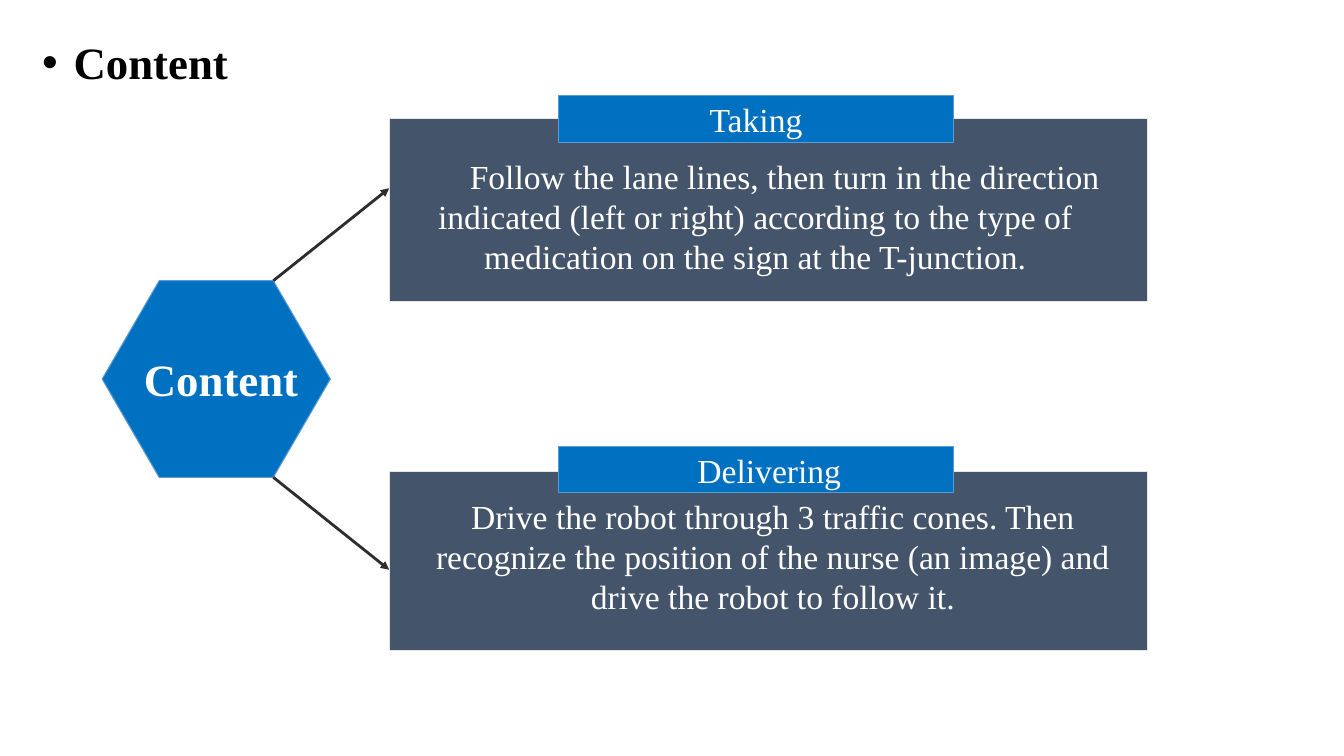
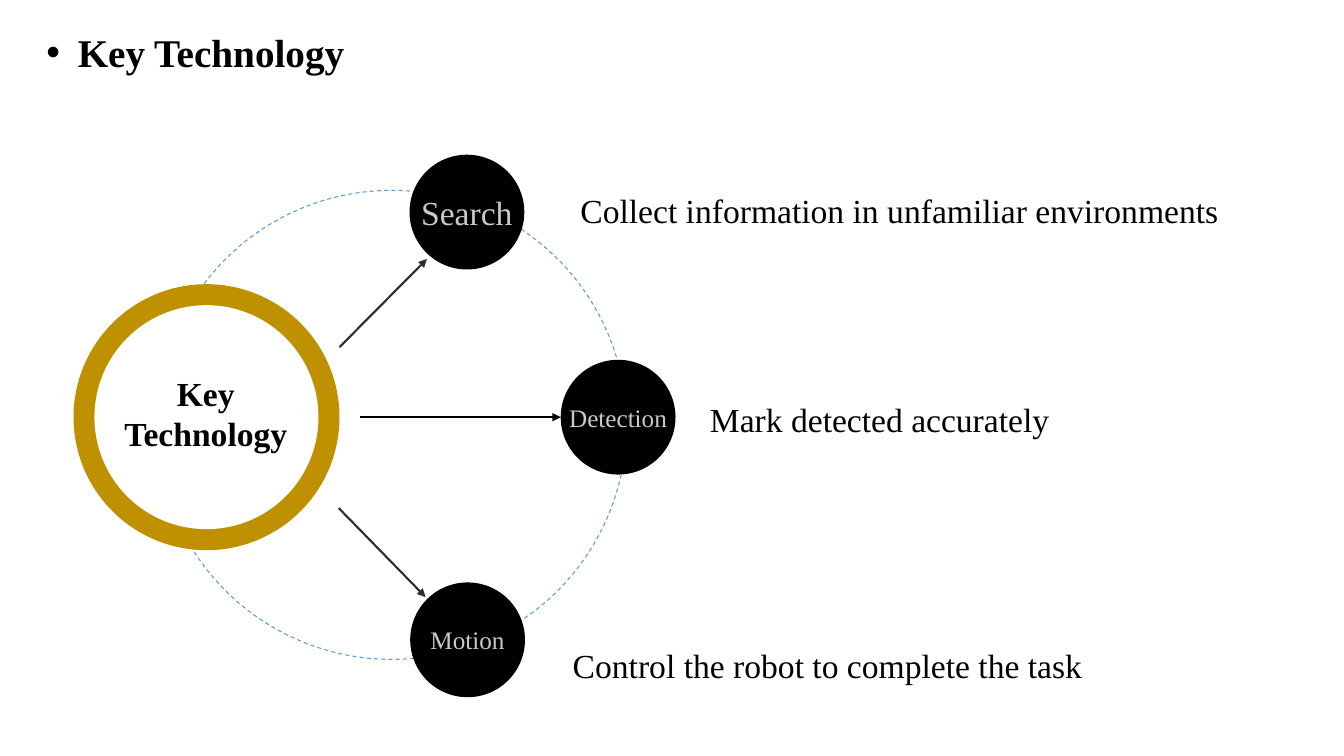
import pptx
import pptx.dml.color
import pptx.enum.dml
import pptx.enum.shapes
import pptx.enum.text
import pptx.oxml
import pptx.oxml.ns
import pptx.util

Pt = pptx.util.Pt
RGB = pptx.dml.color.RGBColor
SHAPE = pptx.enum.shapes.MSO_SHAPE
ALIGN = pptx.enum.text.PP_ALIGN
ANCHOR = pptx.enum.text.MSO_ANCHOR

BLACK = RGB(0x00, 0x00, 0x00)
WHITE = RGB(0xFF, 0xFF, 0xFF)
BLUE = RGB(0x00, 0x70, 0xC0)
SKY = RGB(0x5B, 0x9B, 0xD5)
SLATE = RGB(0x44, 0x54, 0x6A)
PALE = RGB(0xE7, 0xE6, 0xE6)
SILVER = RGB(0xC9, 0xC9, 0xC9)
INK = RGB(0x2E, 0x2C, 0x2C)
GOLD = RGB(0xBF, 0x90, 0x00)

FONT = "Times New Roman"
HEADING = {"size": Pt(32), "bold": True}
BODY = {"size": Pt(24)}
SMALL = {"size": Pt(18)}

NODE_SIZE = 82
TAG_WIDTH, TAG_HEIGHT = 282, 33


def set_values(target, values):
    for name, value in values.items():
        setattr(target, name, value)


def write(frame, text, style, color, align):
    para = frame.paragraphs[0]
    para.alignment = align
    span = para.add_run()
    span.text = text
    set_values(span.font, {"name": FONT, **style})
    span.font.color.rgb = color
    return para


def add_shape(page, kind, box, fill=None, line=None, line_width=0):
    shape = page.shapes.add_shape(kind, *map(Pt, box))
    shape.shadow.inherit = False
    if fill is None:
        shape.fill.background()
    else:
        shape.fill.solid()
        shape.fill.fore_color.rgb = fill
    if line is None:
        shape.line.fill.background()
    else:
        shape.line.color.rgb = line
        shape.line.width = Pt(line_width)
    return shape


def add_label(shape, text, style, color, shift=0):
    """Centre one line of text in a shape, moved right by shift points."""
    set_values(shape.text_frame, {
        "word_wrap": False, "vertical_anchor": ANCHOR.MIDDLE,
        "margin_left": Pt(2 * shift), "margin_right": 0,
        "margin_top": 0, "margin_bottom": 0})
    write(shape.text_frame, text, style, color, ALIGN.CENTER)


def add_text(page, text, box, style, color=BLACK, align=ALIGN.LEFT):
    frame = page.shapes.add_textbox(*map(Pt, box)).text_frame
    set_values(frame, {
        "word_wrap": True,
        "auto_size": pptx.enum.text.MSO_AUTO_SIZE.SHAPE_TO_FIT_TEXT})
    return write(frame, text, style, color, align)


def add_arrow(page, start, end, color=INK, width=1.5):
    arrow = page.shapes.add_connector(
        pptx.enum.shapes.MSO_CONNECTOR.STRAIGHT, *map(Pt, (*start, *end)))
    arrow.line.color.rgb = color
    arrow.line.width = Pt(width)
    namespace = pptx.oxml.ns.nsdecls("a")
    arrow.line._get_or_add_ln().append(
        pptx.oxml.parse_xml(f'<a:tailEnd {namespace} type="triangle"/>'))
    arrow._element.spPr.append(
        pptx.oxml.parse_xml(f"<a:effectLst {namespace}/>"))


def add_title(page, text, box, style):
    para = add_text(page, text, box, style)
    props = para._p.get_or_add_pPr()
    props.set("marL", str(Pt(22.5)))
    props.set("indent", str(-Pt(22.5)))
    namespace = pptx.oxml.ns.nsdecls("a")
    for bullet in ('buFont {} typeface="Arial"', 'buChar {} char="•"'):
        props.append(pptx.oxml.parse_xml(f"<a:{bullet.format(namespace)}/>"))


def circle_box(center, size):
    return center[0] - size / 2, center[1] - size / 2, size, size


def add_card(page, box, tag, tag_rise, tag_shift, text, text_offset, indent=0):
    """Panel with a tag across its top edge and centred text inside."""
    left, top, width, height = box
    add_shape(page, SHAPE.RECTANGLE, box, SLATE, PALE)
    tag_box = (left + 121, top - tag_rise, TAG_WIDTH, TAG_HEIGHT)
    tag_shape = add_shape(page, SHAPE.RECTANGLE, tag_box, BLUE, SKY)
    add_label(tag_shape, tag, BODY, WHITE, tag_shift)
    text_box = (left + text_offset[0], top + text_offset[1], width, 94.5)
    para = add_text(page, text, text_box, BODY, WHITE, ALIGN.CENTER)
    if indent:
        para._p.get_or_add_pPr().set("indent", str(Pt(indent)))


def add_hexagon(page, box):
    """Draw the labelled hexagon and return its two right-hand corners."""
    left, top, width, height = box
    hexagon = add_shape(page, SHAPE.HEXAGON, box, BLUE, SKY)
    slope = 0.29
    hexagon.adjustments[0] = slope
    add_label(hexagon, "Content", HEADING, WHITE, 3.5)
    corner_x = left + width - slope * height
    return (corner_x, top), (corner_x, top + height)


def content_slide(page):
    add_title(page, "Content", (23, 21.5, 246, 46), HEADING)
    upper, lower = add_hexagon(page, (73, 200.5, 163, 140.5))
    add_arrow(page, upper, (278, 134.5), width=0)
    add_arrow(page, lower, (278, 407), width=0)
    add_card(page, (278, 84.5, 542, 131), "Taking", 16, 0,
             "Follow the lane lines, then turn in the direction indicated "
             "(left or right) according to the type of medication on the "
             "sign at the T-junction.", (-9.5, 23), indent=42)
    add_card(page, (278, 337, 542, 127.5), "Delivering", 18, 9.5,
             "Drive the robot through 3 traffic cones. Then recognize the "
             "position of the nurse (an image) and drive the robot to "
             "follow it.", (3, 13.5))


def add_hub(page, center, text):
    for size, color in ((190, GOLD), (160, WHITE)):
        add_shape(page, SHAPE.OVAL, circle_box(center, size), color)
    text_box = (center[0] - 70, center[1] - 35.5, 139, 65.5)
    add_text(page, text, text_box, {**BODY, "bold": True}, BLACK, ALIGN.CENTER)


def add_node(page, center, name, style, text, text_offset):
    """Labelled disc with its explanation to the right."""
    disc = add_shape(page, SHAPE.OVAL, circle_box(center, NODE_SIZE), BLACK)
    add_label(disc, name, style, SILVER)
    text_box = (center[0] + text_offset[0], center[1] + text_offset[1], 505, 36)
    add_text(page, text, text_box, BODY)


def technology_slide(page):
    add_title(page, "Key Technology", (26, 16.5, 246, 41),
              {**HEADING, "size": Pt(28)})
    orbit = add_shape(page, SHAPE.OVAL, (112, 136, 335.5, 335), line=SKY)
    orbit.line.dash_style = pptx.enum.dml.MSO_LINE.DASH
    add_hub(page, (147.5, 298), "Key Technology")
    for node in (
            ((333.5, 151.5), "Search", BODY,
             "Collect information in unfamiliar environments", (74, -19.5)),
            ((441.5, 298), "Detection", SMALL,
             "Mark detected accurately", (58.5, -16.5)),
            ((334, 457), "Motion", SMALL,
             "Control the robot to complete the task", (68, 0))):
        add_node(page, *node)
    add_arrow(page, (242.5, 248), (305, 185))
    add_arrow(page, (257, 298), (400.5, 298), BLACK)
    add_arrow(page, (242, 363), (304, 426.5))


def main():
    deck = pptx.Presentation()
    set_values(deck, {"slide_width": Pt(960), "slide_height": Pt(540)})
    for build in (content_slide, technology_slide):
        build(deck.slides.add_slide(deck.slide_layouts[6]))
    deck.save("out.pptx")


if __name__ == "__main__":
    main()
